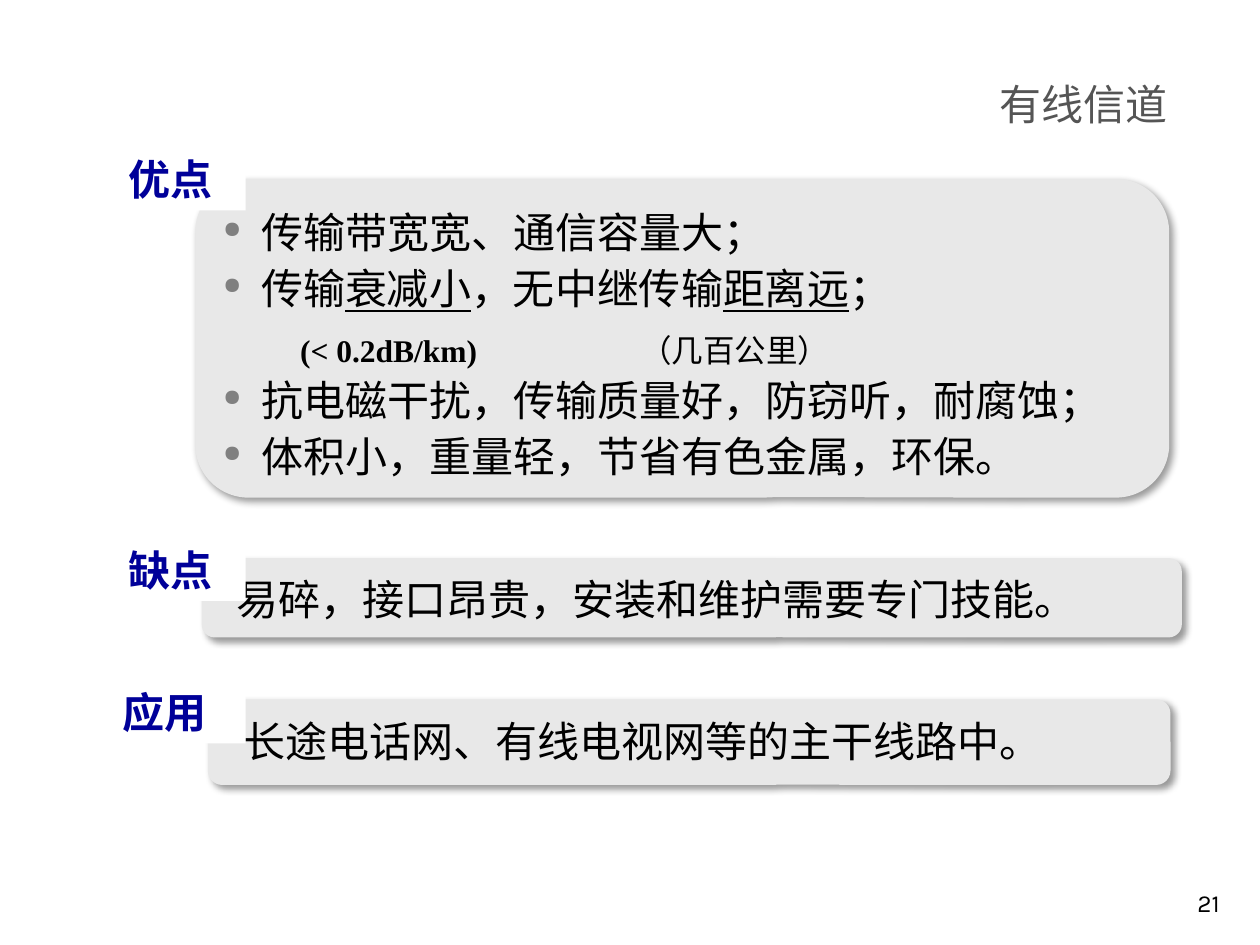
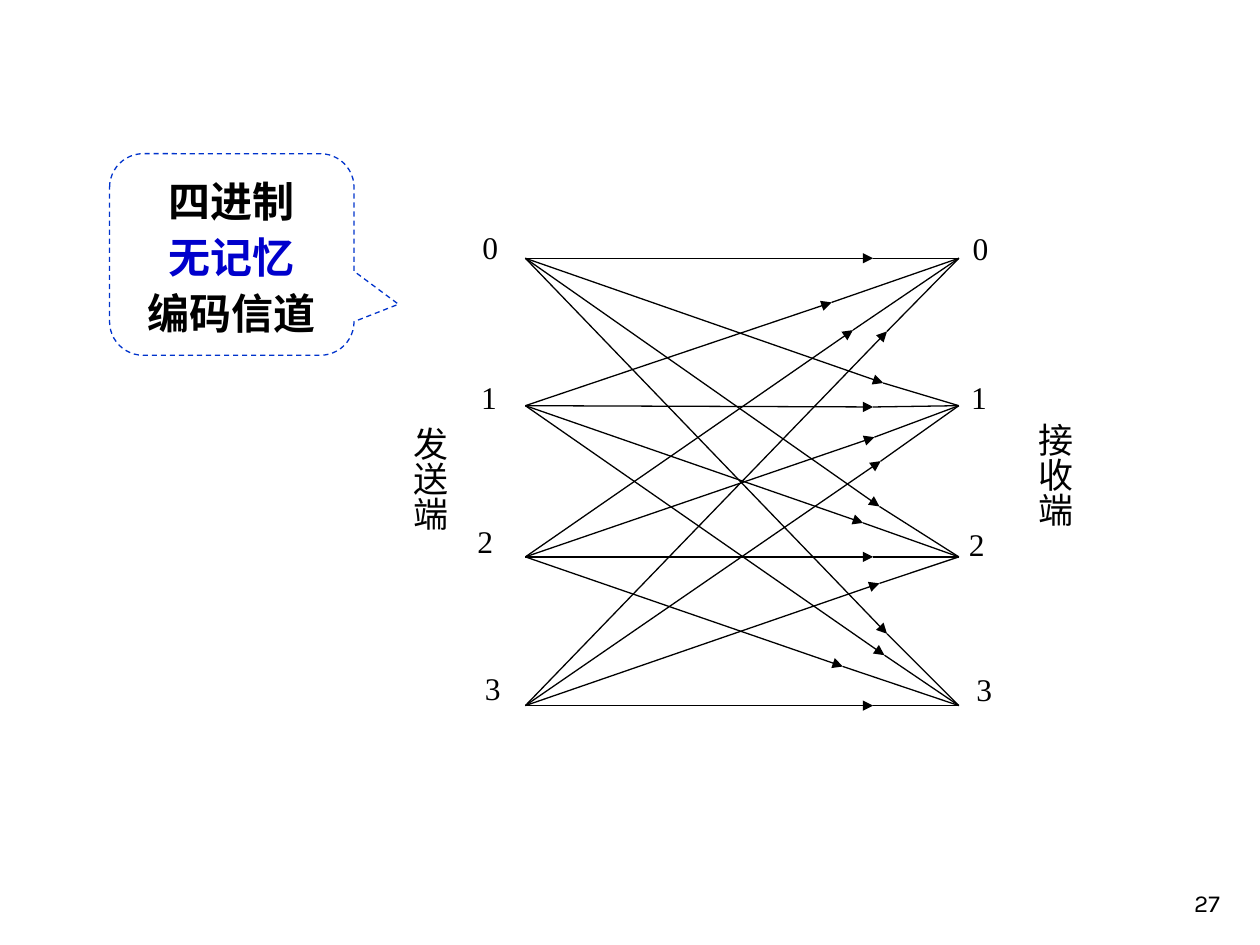
"""Build two slides on wired channels and the four-symbol memoryless coding channel."""
from dataclasses import dataclass
from itertools import product
from typing import NamedTuple

from lxml.etree import SubElement
from pptx import Presentation
from pptx.dml.color import RGBColor
from pptx.enum.dml import MSO_LINE
from pptx.enum.shapes import MSO_CONNECTOR, MSO_SHAPE
from pptx.enum.text import MSO_ANCHOR, MSO_AUTO_SIZE, PP_ALIGN
from pptx.oxml.ns import qn
from pptx.util import Inches, Pt


@dataclass(frozen=True)
class Theme:
    black: str = "000000"
    white: str = "FFFFFF"
    title: str = "555555"
    panel: str = "E8E8E8"
    label: str = "000099"
    highlight: str = "0000CC"
    callout_line: str = "0033CC"
    bullet: str = "808080"
    chinese_font: str = "Noto Sans CJK SC"
    latin_font: str = "Times New Roman"
    callout_font: str = "Arial"
    number_font: str = "Karla"
    body_size: int = 24
    side_size: int = 20
    small_size: int = 18
    number_size: int = 14
    line_pitch: int = 32
    line_width: float = 0.75


THEME = Theme()


class Box(NamedTuple):
    left: float
    top: float
    width: float
    height: float

    def lengths(self) -> list:
        return [Inches(value) for value in self]


class Point(NamedTuple):
    x: float
    y: float


@dataclass(frozen=True)
class TextStyle:
    size: int = THEME.body_size
    color: str = THEME.black
    font: str = THEME.chinese_font
    bold: bool = False
    underline: bool = False


BODY = TextStyle()
UNDERLINED = TextStyle(underline=True)
SMALL_CHINESE = TextStyle(THEME.small_size)
SMALL_LATIN = TextStyle(THEME.small_size, font=THEME.latin_font)
SMALL_BOLD = TextStyle(THEME.small_size, font=THEME.latin_font, bold=True)
LABEL = TextStyle(color=THEME.label, bold=True)
TITLE = TextStyle(color=THEME.title)
SIDE = TextStyle(THEME.side_size)
NUMBER = TextStyle(THEME.number_size, font=THEME.number_font)
CALLOUT = TextStyle(font=THEME.callout_font, bold=True)
CALLOUT_HIGHLIGHT = TextStyle(color=THEME.highlight, font=THEME.callout_font, bold=True)


class Piece(NamedTuple):
    text: str
    style: TextStyle = BODY


@dataclass(frozen=True)
class Line:
    pieces: tuple[Piece, ...]
    bulleted: bool = False
    indent: float = 0
    tab_stops: tuple[float, ...] = ()


@dataclass(frozen=True)
class Panel:
    box: Box
    pointer: tuple[float, float]
    lines: tuple[Line, ...]
    label: str
    label_box: Box


def bullet_line(*pieces: Piece) -> Line:
    return Line(pieces, bulleted=True, indent=0.3)


def plain_line(text: str) -> Line:
    return Line((Piece(text),), indent=0.15)


PANELS = (
    Panel(Box(1.6, 4.43, 7.78, 0.63), (0.086, 0.497),
          (plain_line("易碎，接口昂贵，安装和维护需要专门技能。"),),
          "缺点", Box(0.92, 4.27, 1.03, 0.5)),
    Panel(Box(1.55, 1.42, 7.73, 2.53), (0.098, 0.498), (
        bullet_line(Piece("传输带宽宽、通信容量大；")),
        bullet_line(Piece("传输"), Piece("衰减小", UNDERLINED), Piece("，无中继传输"),
                    Piece("距离远", UNDERLINED), Piece("；")),
        Line((Piece("\t(< 0.2dB/km)\t", SMALL_BOLD), Piece("（几百公里）", SMALL_CHINESE)),
             tab_stops=(0.61, 3.31)),
        bullet_line(Piece("抗电磁干扰，传输质量好，防窃听，耐腐蚀；")),
        bullet_line(Piece("体积小，重量轻，节省有色金属，环保。")),
    ), "优点", Box(0.92, 1.17, 1.03, 0.5)),
    Panel(Box(1.65, 5.55, 7.64, 0.68), (0.093, 0.497),
          (plain_line("长途电话网、有线电视网等的主干线路中。"),),
          "应用", Box(0.87, 5.4, 1.08, 0.5)),
)

SENDER_X = 4.17
RECEIVER_X = 7.61
SYMBOL_LEVELS = (2.05, 3.22, 4.42, 5.6)
ARROW_TIPS = (
    (Point(6.93, 2.05), Point(7.01, 3.04), Point(6.98, 4.02), Point(7.04, 5.03)),
    (Point(6.6, 2.4), Point(6.93, 3.23), Point(6.85, 4.15), Point(7.02, 5.2)),
    (Point(6.77, 2.62), Point(6.94, 3.47), Point(6.93, 4.42), Point(6.69, 5.29)),
    (Point(7.04, 2.63), Point(6.99, 3.66), Point(6.98, 4.63), Point(6.93, 5.6)),
)
SENDER_LABELS = (Point(3.73, 1.76), Point(3.72, 2.95), Point(3.69, 4.09), Point(3.75, 5.26))
RECEIVER_LABELS = (Point(7.62, 1.77), Point(7.61, 2.95), Point(7.59, 4.12), Point(7.65, 5.27))


def format_run(run, style: TextStyle) -> None:
    font = run.font
    font.size = Pt(style.size)
    font.name = style.font
    font.bold = style.bold
    font.underline = style.underline
    font.color.rgb = RGBColor.from_string(style.color)
    east_asian = SubElement(run._r.get_or_add_rPr(), qn("a:ea"))
    east_asian.set("typeface", THEME.chinese_font)


def write_text(text_frame, text: str, *styles: TextStyle, align=PP_ALIGN.LEFT,
               anchor=MSO_ANCHOR.TOP, wrap: bool = True) -> None:
    text_frame.text = text
    text_frame.word_wrap = wrap
    text_frame.auto_size = MSO_AUTO_SIZE.NONE
    text_frame.vertical_anchor = anchor
    for paragraph, style in zip(text_frame.paragraphs, styles):
        paragraph.alignment = align
        for run in paragraph.runs:
            format_run(run, style)


def write_line(paragraph, line: Line) -> None:
    paragraph.alignment = PP_ALIGN.LEFT
    paragraph.line_spacing = Pt(THEME.line_pitch)
    properties = paragraph._p.get_or_add_pPr()
    properties.set("marL", str(Inches(line.indent)))
    if line.bulleted:
        properties.set("indent", str(-Inches(line.indent)))
        color = SubElement(properties, qn("a:buClr"))
        SubElement(color, qn("a:srgbClr")).set("val", THEME.bullet)
        SubElement(properties, qn("a:buSzPct")).set("val", "55000")
        SubElement(properties, qn("a:buChar")).set("char", "●")
    if line.tab_stops:
        tab_list = SubElement(properties, qn("a:tabLst"))
        for stop in line.tab_stops:
            SubElement(tab_list, qn("a:tab"), pos=str(Inches(stop)), algn="l")
    for piece in line.pieces:
        run = paragraph.add_run()
        run.text = piece.text
        format_run(run, piece.style)


def add_text(slide, box: Box, text: str, style: TextStyle, **layout):
    shape = slide.shapes.add_textbox(*box.lengths())
    write_text(shape.text_frame, text, style, **layout)
    return shape


def add_filled_shape(slide, kind, box: Box, fill: str | None):
    shape = slide.shapes.add_shape(kind, *box.lengths())
    shape.shadow.inherit = False
    shape.line.fill.background()
    if fill is None:
        shape.fill.background()
    else:
        shape.fill.solid()
        shape.fill.fore_color.rgb = RGBColor.from_string(fill)
    return shape


def add_callout(slide, box: Box, pointer: tuple[float, float], fill: str | None = None):
    shape = add_filled_shape(slide, MSO_SHAPE.ROUNDED_RECTANGULAR_CALLOUT, box, fill)
    for index, value in enumerate((*pointer, 0.167)):
        shape.adjustments[index] = value
    return shape


def add_shadow(shape) -> None:
    effects = shape._element.spPr.find(qn("a:effectLst"))
    shadow = SubElement(effects, qn("a:outerShdw"), blurRad=str(Pt(4)), dist=str(Pt(3)),
                        dir="2700000", algn="tl", rotWithShape="0")
    color = SubElement(shadow, qn("a:srgbClr"), val=THEME.black)
    SubElement(color, qn("a:alpha"), val="40000")


def add_panel(slide, panel: Panel) -> None:
    shape = add_callout(slide, panel.box, panel.pointer, THEME.panel)
    add_shadow(shape)
    text_frame = shape.text_frame
    text_frame.word_wrap = True
    text_frame.vertical_anchor = MSO_ANCHOR.TOP
    for index, line in enumerate(panel.lines):
        paragraph = text_frame.add_paragraph() if index else text_frame.paragraphs[0]
        write_line(paragraph, line)
    label = add_filled_shape(slide, MSO_SHAPE.RECTANGLE, panel.label_box, THEME.white)
    write_text(label.text_frame, panel.label, LABEL, anchor=MSO_ANCHOR.MIDDLE, wrap=False)


def add_line(slide, start: Point, end: Point, arrow: bool = False) -> None:
    ends = [Inches(value) for value in (*start, *end)]
    connector = slide.shapes.add_connector(MSO_CONNECTOR.STRAIGHT, *ends)
    connector.line.color.rgb = RGBColor.from_string(THEME.black)
    connector.line.width = Pt(THEME.line_width)
    if arrow:
        SubElement(connector.line._get_or_add_ln(), qn("a:tailEnd"), type="triangle")
    SubElement(connector._element.spPr, qn("a:effectLst"))


def add_page_number(slide, number: int) -> None:
    add_text(slide, Box(7.7, 6.83, 2.08, 0.5), str(number), NUMBER,
             align=PP_ALIGN.RIGHT, anchor=MSO_ANCHOR.BOTTOM)


def build_wired_channel(presentation) -> None:
    slide = presentation.slides.add_slide(presentation.slide_layouts[5])
    title = slide.shapes.title
    title.left, title.top, title.width, title.height = Box(7.83, 0.57, 1.55, 0.5).lengths()
    write_text(title.text_frame, "有线信道", TITLE, anchor=MSO_ANCHOR.MIDDLE, wrap=False)
    add_page_number(slide, 21)
    for panel in PANELS:
        add_panel(slide, panel)


def build_coding_channel(presentation) -> None:
    slide = presentation.slides.add_slide(presentation.slide_layouts[6])
    add_page_number(slide, 27)
    for sent, received in product(range(len(SYMBOL_LEVELS)), repeat=2):
        tip = ARROW_TIPS[sent][received]
        add_line(slide, Point(SENDER_X, SYMBOL_LEVELS[sent]), tip, arrow=True)
        add_line(slide, tip, Point(RECEIVER_X, SYMBOL_LEVELS[received]))
    for labels in (SENDER_LABELS, RECEIVER_LABELS):
        for symbol, corner in enumerate(labels):
            add_text(slide, Box(*corner, 0.55, 0.51), str(symbol), SMALL_LATIN,
                     align=PP_ALIGN.JUSTIFY)
    for text, box in (("接收端", Box(7.77, 3.26, 0.82, 1.53)),
                      ("发送端", Box(2.81, 3.29, 0.82, 1.35))):
        side = add_text(slide, box, text, SIDE, align=PP_ALIGN.JUSTIFY)
        side.text_frame._txBody.bodyPr.set("vert", "eaVert")
    callout = add_callout(slide, Box(0.87, 1.22, 1.94, 1.6), (0.682, 0.247))
    callout.line.color.rgb = RGBColor.from_string(THEME.callout_line)
    callout.line.width = Pt(THEME.line_width)
    callout.line.dash_style = MSO_LINE.DASH
    write_text(callout.text_frame, "四进制\n无记忆\n编码信道", CALLOUT, CALLOUT_HIGHLIGHT,
               CALLOUT, align=PP_ALIGN.CENTER)
    for paragraph in callout.text_frame.paragraphs:
        paragraph.line_spacing = Pt(THEME.line_pitch)


def main() -> None:
    presentation = Presentation()
    presentation.slide_width, presentation.slide_height = Inches(10), Inches(7.5)
    build_wired_channel(presentation)
    build_coding_channel(presentation)
    presentation.save("out.pptx")


if __name__ == "__main__":
    main()
